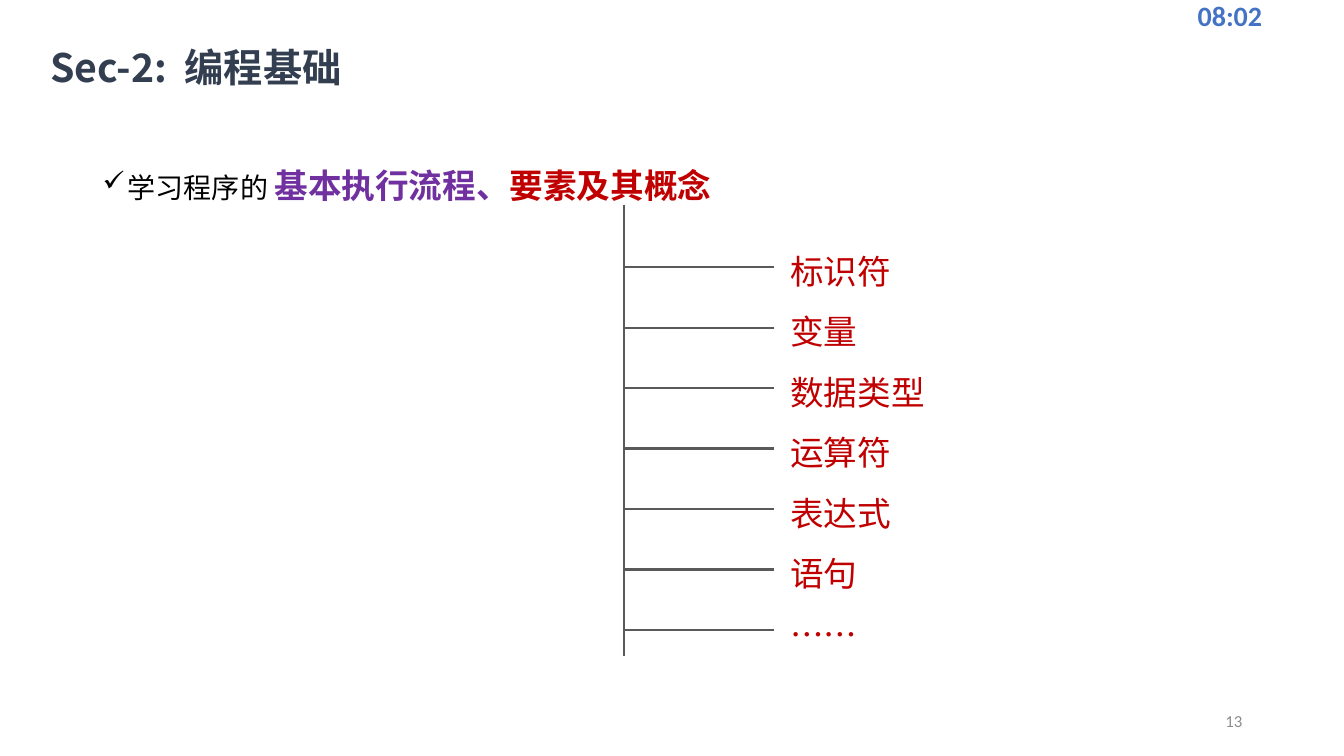
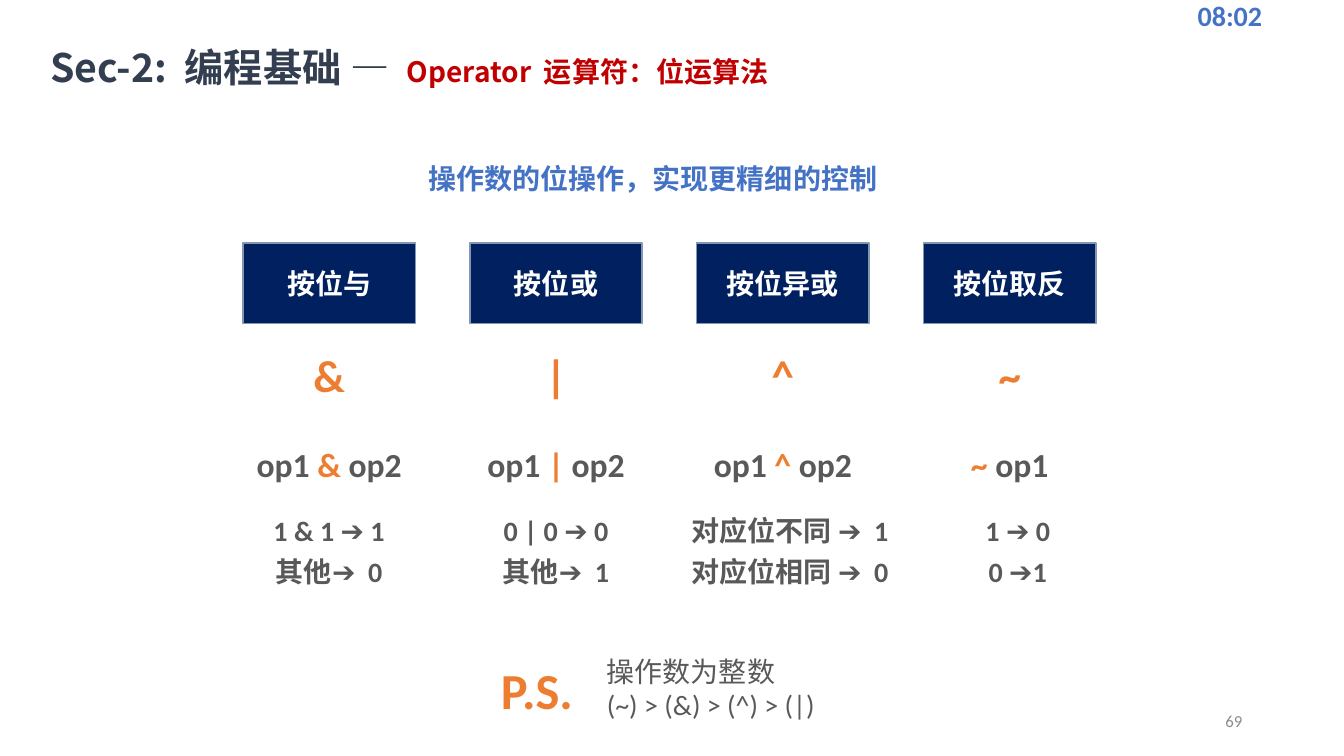
from dataclasses import dataclass

from lxml import etree
from pptx import Presentation
from pptx.dml.color import RGBColor
from pptx.enum.shapes import MSO_CONNECTOR, MSO_SHAPE
from pptx.enum.text import MSO_ANCHOR, MSO_AUTO_SIZE, PP_ALIGN
from pptx.oxml.ns import qn
from pptx.util import Inches, Pt

COLORS = {
    "title": "333F50", "clock": "4472C4", "number": "8C8C8C", "text": "595959",
    "black": "000000", "white": "FFFFFF", "red": "C00000", "purple": "7030A0",
    "orange": "ED7D31", "navy": "002060", "border": "8497B0",
}
CJK = "Noto Sans CJK SC"
LATIN = "Calibri"
LEFT, CENTER, RIGHT = PP_ALIGN.LEFT, PP_ALIGN.CENTER, PP_ALIGN.RIGHT
TOP, MIDDLE = MSO_ANCHOR.TOP, MSO_ANCHOR.MIDDLE


@dataclass(frozen=True)
class Run:
    text: str
    size: float
    color: str
    bold: bool = True
    font: str = LATIN
    spacing: float = 0


@dataclass(frozen=True)
class Operator:
    name: str
    symbol: str
    usage: tuple[tuple[str, str], ...]
    rules: tuple[tuple[str, ...], ...]
    rule_shift: float = 0


OPERATORS = [
    Operator("按位与", "&", (("op1", "text"), (" & ", "orange"), ("op2", "text")),
             (("1 & 1 ➔ 1",), ("其他➔", "0"))),
    Operator("按位或", "|", (("op1", "text"), (" | ", "orange"), ("op2", "text")),
             (("0 | 0 ➔ 0",), ("其他➔", "1"))),
    Operator("按位异或", "^", (("op1 ", "text"), ("^", "orange"), (" op2", "text")),
             (("对应位不同 ➔", "1"), ("对应位相同 ➔", "0")), 0.07),
    Operator("按位取反", "~", (("~", "orange"), (" op1", "text")),
             (("1 ➔ 0",), ("0 ➔1",)), 0.08),
]
ELEMENTS = ["标识符", "变量", "数据类型", "运算符", "表达式", "语句", "……"]


def rgb(name: str) -> RGBColor:
    return RGBColor.from_string(COLORS[name])


def gap(size: float, color: str, font: str) -> Run:
    """A single space, tracked out to double width."""
    return Run(" ", size, color, font=font, spacing=round(size * 0.22, 1))


def gapped(parts: tuple[str, ...], size: float, color: str, font: str) -> list[Run]:
    """Join the parts with wide gaps."""
    runs = [Run(parts[0], size, color, font=font)]
    for part in parts[1:]:
        runs += [gap(size, color, font), Run(part, size, color, font=font)]
    return runs


def add_runs(p, runs: list[Run]) -> None:
    for run in runs:
        r = p.add_run()
        r.text = run.text
        r.font.size = Pt(run.size)
        r.font.bold = run.bold
        r.font.name = run.font
        r.font.color.rgb = rgb(run.color)
        rPr = r.font._element
        if run.spacing:
            rPr.set("spc", str(round(run.spacing * 100)))
        ea = etree.Element(qn("a:ea"), typeface=CJK)
        rPr.find(qn("a:latin")).addnext(ea)


def fill_frame(tf, paragraphs: list[list[Run]], align=LEFT, anchor=TOP,
               line_spacing: float = 1) -> None:
    tf.word_wrap = True
    tf.auto_size = MSO_AUTO_SIZE.NONE
    tf.vertical_anchor = anchor
    for i, runs in enumerate(paragraphs):
        p = tf.add_paragraph() if i else tf.paragraphs[0]
        p.alignment = align
        p.line_spacing = line_spacing
        add_runs(p, runs)


def add_text(slide, x: float, y: float, w: float, h: float,
             paragraphs: list[list[Run]], **layout):
    sp = slide.shapes.add_textbox(Inches(x), Inches(y), Inches(w), Inches(h))
    fill_frame(sp.text_frame, paragraphs, **layout)
    return sp


def add_centered(slide, center: float, y: float, w: float, h: float, runs: list[Run]) -> None:
    add_text(slide, center - w / 2, y, w, h, [runs], align=CENTER)


def add_line(slide, x1: float, y1: float, x2: float, y2: float) -> None:
    line = slide.shapes.add_connector(MSO_CONNECTOR.STRAIGHT, Inches(x1), Inches(y1),
                                      Inches(x2), Inches(y2))
    line.line.color.rgb = rgb("text")
    line.line.width = Pt(1.5)
    etree.SubElement(line._element.spPr, qn("a:effectLst"))


def add_box(slide, x: float, y: float, w: float, h: float, label: str) -> None:
    sp = slide.shapes.add_shape(MSO_SHAPE.RECTANGLE, Inches(x), Inches(y),
                                Inches(w), Inches(h))
    sp.shadow.inherit = False
    sp.fill.solid()
    sp.fill.fore_color.rgb = rgb("navy")
    sp.line.color.rgb = rgb("border")
    sp.line.width = Pt(1)
    fill_frame(sp.text_frame, [[Run(label, 20, "white", font=CJK)]],
               align=CENTER, anchor=MIDDLE)


def add_check_bullet(p) -> None:
    pPr = p._p.get_or_add_pPr()
    pPr.set("marL", str(Inches(0.25)))
    pPr.set("indent", str(-Inches(0.25)))
    etree.SubElement(pPr, qn("a:buChar"), char="✓")


def new_slide(prs, number: int, title_parts: tuple[str, ...], subtitle: list[Run]):
    """Add a slide with its title, clock and page number."""
    slide = prs.slides.add_slide(prs.slide_layouts[5])
    title = slide.shapes.title
    title.left, title.top = Inches(0.5), Inches(0.42)
    title.width, title.height = Inches(7.66), Inches(0.48)
    tf = title.text_frame
    tf.margin_left = tf.margin_right = tf.margin_bottom = 0
    tf.margin_top = Inches(0.01)
    fill_frame(tf, [gapped(title_parts, 28, "title", CJK) + subtitle])
    add_text(slide, 11.78, -0.05, 1.78, 0.4, [[Run("08:02", 20, "clock")]], anchor=MIDDLE)
    add_text(slide, 9.42, 6.95, 3, 0.4, [[Run(str(number), 12, "number", bold=False)]],
             align=RIGHT, anchor=MIDDLE)
    return slide


def build_basics(prs) -> None:
    slide = new_slide(prs, 13, ("Sec-2:", "编程基础"), [])
    goal = add_text(slide, 0.92, 1.39, 11.5, 0.8, [[
        Run("学习程序的 ", 20, "black", bold=False, font=CJK),
        Run("基本执行流程、", 24, "purple", font=CJK),
        Run("要素及其概念", 24, "red", font=CJK),
    ]], line_spacing=1.5)
    add_check_bullet(goal.text_frame.paragraphs[0])

    trunk_x, branch_end = 6.19, 7.68
    add_line(slide, trunk_x, 2.03, trunk_x, 6.51)
    for i in range(len(ELEMENTS)):
        y = 2.65 + 0.6 * i
        add_line(slide, branch_end, y, trunk_x, y)
    add_text(slide, 7.74, 2.24, 1.81, 4.34,
             [[Run(name, 24, "red", bold=False, font=CJK)] for name in ELEMENTS],
             line_spacing=1.5)


def build_bitwise(prs) -> None:
    subtitle = [gap(28, "title", CJK),
                *gapped(("Operator", "运算符：位运算法"), 20, "red", CJK)]
    slide = new_slide(prs, 69, ("Sec-2:", "编程基础 —"), subtitle)
    add_text(slide, 4.15, 1.55, 5.12, 0.44,
             [[Run("操作数的位操作，实现更精细的控制", 20, "clock", font=CJK)]])

    box_w = 1.71
    for i, op in enumerate(OPERATORS):
        x = 2.41 + 2.25 * i
        center = x + box_w / 2
        add_box(slide, x, 2.41, box_w, 0.8, op.name)
        add_centered(slide, center, 3.4, 1.97, 0.64, [Run(op.symbol, 32, "orange")])
        add_centered(slide, center, 4.35, 1.97, 0.5,
                     [Run(text, 24, color) for text, color in op.usage])
        for j, rule in enumerate(op.rules):
            add_centered(slide, center + op.rule_shift, 5.05 + 0.4 * j, 3.07, 0.44,
                         gapped(rule, 20, "text", LATIN))

    add_text(slide, 4.87, 6.49, 1.02, 0.71, [[Run("P.S.", 36, "orange")]])
    add_text(slide, 5.92, 6.44, 3.04, 0.77,
             [[Run(note, 20, "text", bold=False)]
              for note in ("操作数为整数", "(~) > (&) > (^) > (|)")])


def main() -> None:
    prs = Presentation()
    prs.slide_width, prs.slide_height = Inches(13.33), Inches(7.5)
    build_basics(prs)
    build_bitwise(prs)
    prs.save("out.pptx")


if __name__ == "__main__":
    main()
